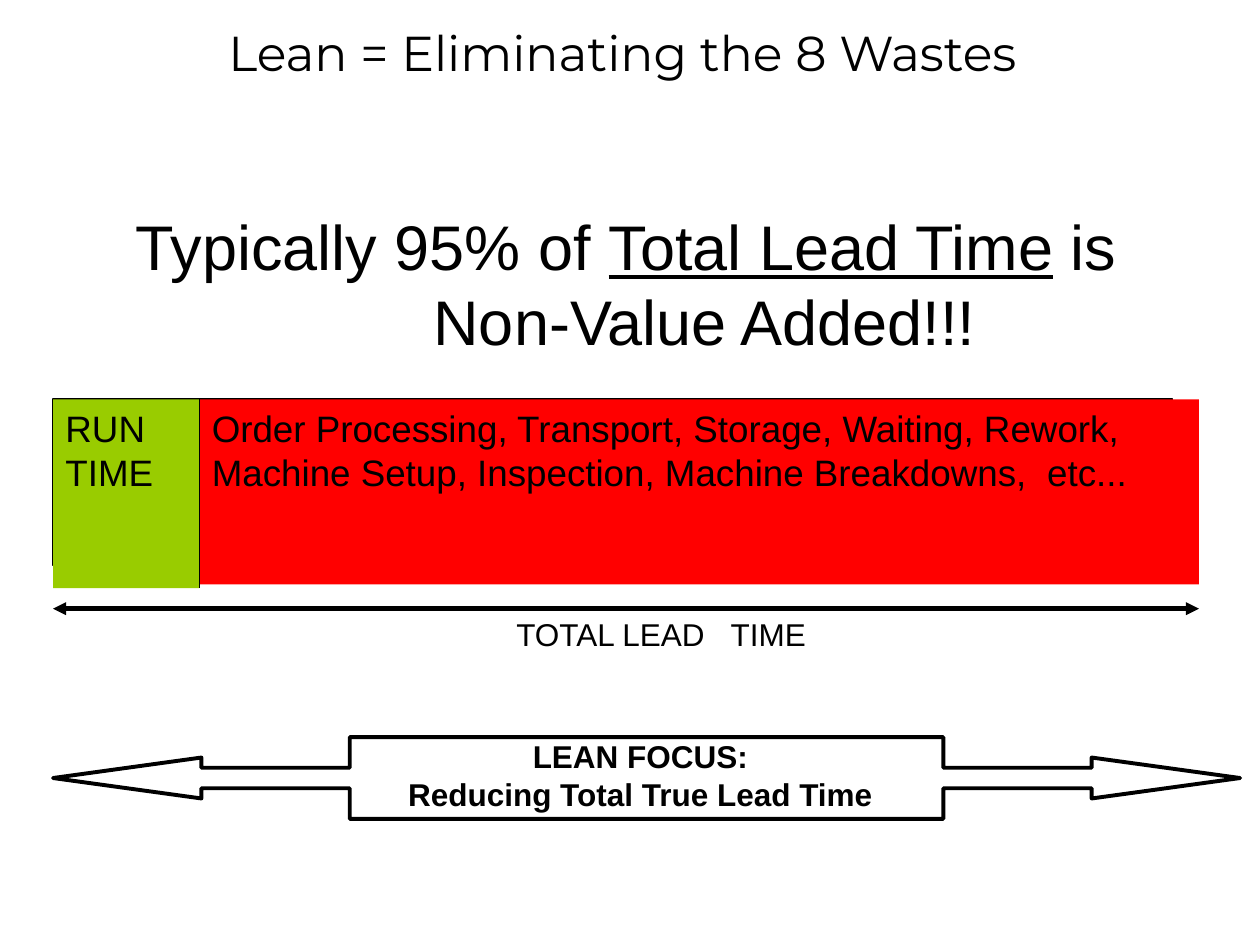
import dataclasses

import lxml.etree
import pptx
import pptx.dml.color
import pptx.enum.shapes
import pptx.enum.text
import pptx.oxml.ns
import pptx.util

Cm, Pt = pptx.util.Cm, pptx.util.Pt
ALIGN, ANCHOR = pptx.enum.text.PP_ALIGN, pptx.enum.text.MSO_ANCHOR
RECT = pptx.enum.shapes.MSO_SHAPE.RECTANGLE


@dataclasses.dataclass(frozen=True)
class Theme:
    """Fonts, sizes and colours of the slide."""
    head_font: str = "Montserrat"
    body_font: str = "Arial"
    ink: str = "000000"
    run: str = "99CC00"
    waste: str = "FF0000"
    title: int = 28
    claim: int = 36
    bar: int = 21
    label: int = 18


T = Theme()


def rgb(color):
    """Return the colour object for a hex string."""
    return pptx.dml.color.RGBColor.from_string(color)


def sub(parent, tag, **attrs):
    """Append a DrawingML element to parent."""
    return lxml.etree.SubElement(parent, pptx.oxml.ns.qn(tag), attrs)


def write(tf, *lines, size, font=T.body_font, bold=False, align=ALIGN.LEFT,
          anchor=ANCHOR.TOP, indent=0, tab=None):
    """Fill a frame with lines, each a string or (text, underline) pairs; indent moves the last."""
    tf.word_wrap = True
    tf.auto_size = pptx.enum.text.MSO_AUTO_SIZE.NONE
    tf.vertical_anchor = anchor
    for i, line in enumerate(lines):
        p = tf.paragraphs[0] if i == 0 else tf.add_paragraph()
        p.alignment = align
        p.line_spacing = Pt(round(1.2 * size, 1))
        pPr = p._p.get_or_add_pPr()
        if indent and i == len(lines) - 1:
            pPr.set("marL", str(Cm(indent)))
            pPr.set("indent", "0")
        if tab:
            sub(sub(pPr, "a:tabLst"), "a:tab", pos=str(Cm(tab)), algn="l")
        for text, underline in [(line, False)] if isinstance(line, str) else line:
            r = p.add_run()
            r.text = text
            r.font.name, r.font.size = font, Pt(size)
            r.font.bold, r.font.underline = bold, underline
            r.font.color.rgb = rgb(T.ink)


def style(sp, fill=None, line=None):
    """Set fill and line width of a shape, or clear them."""
    sp.shadow.inherit = False
    if fill:
        sp.fill.solid()
        sp.fill.fore_color.rgb = rgb(fill)
    else:
        sp.fill.background()
    if line:
        sp.line.color.rgb = rgb(T.ink)
        sp.line.width = Pt(line)
    else:
        sp.line.fill.background()


def block(s, x, y, w, h, fill=None, line=None):
    """Add a rectangle and return its text frame."""
    sp = s.shapes.add_shape(RECT, Cm(x), Cm(y), Cm(w), Cm(h))
    style(sp, fill, line)
    return sp.text_frame


def rule(s, x1, y1, x2, y2, width, arrows=False):
    """Add a straight line, with arrowheads at both ends if asked."""
    cx = s.shapes.add_connector(pptx.enum.shapes.MSO_CONNECTOR.STRAIGHT,
                                Cm(x1), Cm(y1), Cm(x2), Cm(y2))
    cx.line.color.rgb = rgb(T.ink)
    cx.line.width = Pt(width)
    if arrows:
        for tag in ("a:headEnd", "a:tailEnd"):
            sub(cx.line._get_or_add_ln(), tag, type="triangle")
    sub(cx._element.spPr, "a:effectLst")


def add_title(s, x, y, w, h):
    """Place and fill the title."""
    sp = s.shapes.title
    sp.left, sp.top, sp.width, sp.height = Cm(x), Cm(y), Cm(w), Cm(h)
    write(sp.text_frame, "Lean = Eliminating the 8 Wastes", size=T.title,
          font=T.head_font, align=ALIGN.CENTER, anchor=ANCHOR.MIDDLE)


def add_claim(s, x, y, w, h):
    """Add the main statement."""
    tf = s.shapes.add_textbox(Cm(x), Cm(y), Cm(w), Cm(h)).text_frame
    write(tf, [("Typically 95% of ", False), ("Total Lead Time", True), (" is", False)],
          "Non-Value Added!!!", size=T.claim, indent=6)


def add_lead_time(s, x, y, w, h):
    """Add the lead time bar with its span arrow and label."""
    run_w = 2.95
    block(s, x, y, w - 0.53, 3.35, line=1)
    write(block(s, x, y, run_w, 3.81, T.run), "RUN", "TIME", size=T.bar)
    write(block(s, x + run_w, y, w - run_w, 3.73, T.waste),
          "Order Processing, Transport, Storage, Waiting, Rework,",
          "Machine Setup, Inspection, Machine Breakdowns,\tetc...",
          size=T.bar, tab=16.84)
    rule(s, x + run_w, y, x + run_w, y + 3.81, 1)
    span_y = y + 4.22
    label = s.shapes.add_textbox(Cm(x + 9.09), Cm(span_y), Cm(10.59), Cm(h - 4.22))
    write(label.text_frame, "TOTAL LEAD\tTIME", size=T.label, tab=4.32)
    rule(s, x, span_y, x + w, span_y, 2.5, arrows=True)


def add_focus(s, x, y, w, h):
    """Add the double arrow banner, drawn on a grid of eighths."""
    upper = [(0, 4), (1, 2), (1, 3), (2, 3), (2, 0),
             (6, 0), (6, 3), (7, 3), (7, 2), (8, 4)]
    lower = [(i, 8 - j) for i, j in reversed(upper[1:-1])]
    pts = [(Cm(x + w * i / 8), Cm(y + h * j / 8)) for i, j in upper + lower]
    fb = s.shapes.build_freeform(*pts[0])
    fb.add_line_segments(pts[1:], close=True)
    sp = fb.convert_to_shape()
    style(sp, line=2.25)
    tf = sp.text_frame
    tf.margin_left = tf.margin_top = 0
    write(tf, "LEAN FOCUS:", "Reducing Total True Lead Time", size=T.label,
          bold=True, align=ALIGN.CENTER, anchor=ANCHOR.MIDDLE)


def main():
    """Build and save the slide."""
    prs = pptx.Presentation()
    prs.slide_width, prs.slide_height = Cm(25.4), Cm(19.05)
    s = prs.slides.add_slide(prs.slide_layouts[5])
    add_title(s, 0.38, 0, 24.33, 2.11)
    add_claim(s, 2.49, 4.05, 21.79, 3.3)
    add_lead_time(s, 1.07, 8.05, 23.1, 5.24)
    add_focus(s, 1.07, 14.86, 23.93, 1.65)
    prs.save("out.pptx")


if __name__ == "__main__":
    main()
